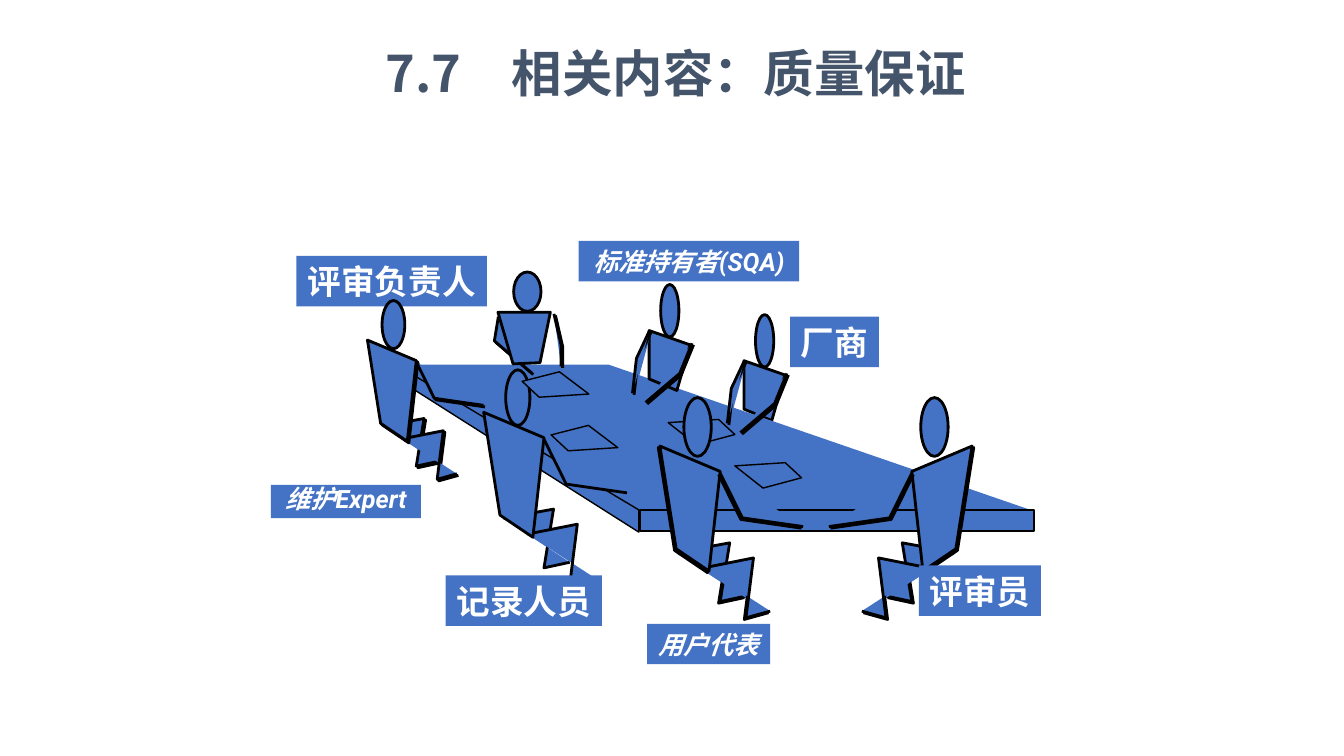
"""Build the slide on quality assurance: a review meeting around a table."""
from lxml import etree
from pptx import Presentation
from pptx.dml.color import RGBColor
from pptx.enum import shapes, text
from pptx.oxml import ns
from pptx.util import Cm, Pt

TITLE = "7.7　相关内容：质量保证"
BLUE, BLACK, WHITE, SLATE = "4472C4", "000000", "FFFFFF", "44546A"
LATIN, CHINESE = "Roboto", "Noto Sans CJK SC"
ECHO, HEAD_GROWTH = 0.04, 0.08

POSES = {
    "seated": {
        "near leg": [(0.5, 2.67), (1.76, 2.44), (1.52, 3.92), (2.17, 3.78)],
        "far leg": [(1.1, 3.07), (2.36, 2.82), (2.17, 4.33), (2.78, 4.16)],
        "torso": [(0.41, 2.59), (0, 0), (1.52, 0.64), (1.24, 3.15)],
        "head": (0.61, 1.4),
        "arm": [(1.52, 0.68), (2.08, 1.81), (3.61, 2.03)],
    },
    "behind": {
        "torso": [(0, 1.22), (0, 0), (1.03, 0.36), (0.7, 1.51)],
        "head": (0.38, 1.24),
        "right arm": [(1.12, 0.36), (0.81, 1.12), (-0.05, 1.85)],
        "left arm": [(0.05, 0.04), (-0.28, 0.74), (-0.38, 1.62)],
    },
    "end": {
        "left arm": [(0.05, 0.15), (-0.05, 0.76), (0.89, 1.57)],
        "right arm": [(1.45, 0.08), (1.63, 0.86), (1.63, 1.4)],
        "head": (0.61, 0.91),
        "torso": [(0, 0), (1.32, 0), (1.06, 1.27), (0.38, 1.3)],
    },
}

# pose, origin, head centre, scale, facing, echo direction (0 = drawn once)
PEOPLE = {
    "recorder": ("seated", (12.19, 10.39), (0.86, -0.37), 1, 1, 0),
    "reviewer": ("seated", (24.54, 11.28), (0.99, -0.52), 1, -1, -1),
    "user": ("seated", (16.59, 11.28), (0.99, -0.52), 1, 1, 1),
    "leader": ("seated", (9.3, 8.61), (0.76, -0.53), 0.81, 1, -1),
    "vendor": ("behind", (18.75, 9.09), (0.52, -0.5), 1, 1, -1),
    "standards": ("behind", (16.36, 8.33), (0.52, -0.5), 1, 1, -1),
    "chair": ("end", (12.55, 7.87), (0.74, -0.52), 1, 1, -1),
}

TABLE_TOP = [(9.98, 9.19), (15.34, 9.19), (26.06, 12.88), (16.08, 12.88)]
TABLE_FRONT = (16.13, 12.85, 9.93, 0.53)
TABLE_SIDE = [(16.1, 12.85), (9.98, 9.19), (9.98, 9.53), (16.1, 13.41)]

LEFT_PAPER = [(0.43, 0.64), (1.68, 0.56), (0.94, 0), (0, 0.24)]
RIGHT_PAPER = [(1.27, 0), (0, 0.08), (0.71, 0.64), (1.68, 0.38)]
PAPERS = [
    (LEFT_PAPER, (13.89, 10.72)), (RIGHT_PAPER, (18.52, 11.66)),
    (RIGHT_PAPER, (16.84, 10.57)), (LEFT_PAPER, (13.16, 9.37)),
]

MAIN_LABELS = [
    ("评审负责人", 7.47, 6.45, 4.8, 1.27), ("厂商", 19.91, 7.98, 2.24, 1.27),
    ("记录人员", 11.23, 14.5, 3.94, 1.27), ("评审员", 23.16, 14.25, 3.07, 1.27),
]
SIDE_LABELS = [
    ("标准持有者(SQA)", 14.58, 6.07, 5.56, 1.02),
    ("维护Expert", 6.83, 12.22, 3.78, 0.84),
]
USER_LABEL = ("用户代表", 16.31, 15.72, 3.1, 1.02)


def color(value):
    return RGBColor.from_string(value)


def paint(shape, width=0):
    shape.shadow.inherit = False
    shape.fill.solid()
    shape.fill.fore_color.rgb = color(BLUE)
    if width:
        shape.line.color.rgb = color(BLACK)
        shape.line.width = Pt(width)
    else:
        shape.line.fill.background()


def add_preset(page, kind, left, top, wide, high, width=0):
    shape = page.shapes.add_shape(kind, Cm(left), Cm(top), Cm(wide), Cm(high))
    paint(shape, width)
    return shape


def add_outline(page, points, width=0, close=True):
    corners = [(Cm(x), Cm(y)) for x, y in points]
    builder = page.shapes.build_freeform(*corners[0])
    builder.add_line_segments(corners[1:], close=close)
    paint(builder.convert_to_shape(), width)


def add_person(page, name, only=None, skip=None):
    pose, (left, top), (head_x, head_y), scale, facing, echo = PEOPLE[name]

    def place(x, y):
        return left + facing * scale * x, top + scale * y

    for part, form in POSES[pose].items():
        if part == skip or only not in (None, part):
            continue
        single = echo == 0 or (part == "torso" and pose != "seated")
        for step in range(1 if single else 2):
            if part == "head":
                wide, high = (scale * side + step * HEAD_GROWTH for side in form)
                x, y = place(head_x, head_y)
                add_preset(page, shapes.MSO_SHAPE.OVAL, x - wide / 2, y - high / 2, wide, high, 2)
            else:
                points = [place(*point) for point in form]
                shifted = [(x + step * echo * ECHO, y - step * ECHO) for x, y in points]
                add_outline(page, shifted, 2, close=part == "torso")


def write(para, words, size, latin, shade, italic=False):
    span = para.add_run()
    span.text = words
    para.alignment = text.PP_ALIGN.CENTER
    font = para.font
    font.name, font.size = latin, Pt(size)
    font.bold, font.italic = True, italic
    font.color.rgb = color(shade)
    east = etree.SubElement(span._r.get_or_add_rPr(), ns.qn("a:ea"))
    east.set("typeface", CHINESE)


def add_label(page, label, size, italic=False):
    words, *place = label
    box = add_preset(page, shapes.MSO_SHAPE.RECTANGLE, *place)
    box.text_frame.word_wrap = False
    para = box.text_frame.paragraphs[0]
    write(para, words, size, LATIN, WHITE, italic)
    if place[-1] < 1:
        para.line_spacing = 0.75


def main():
    deck = Presentation()
    deck.slide_width, deck.slide_height = Cm(33.87), Cm(19.05)
    page = deck.slides.add_slide(deck.slide_layouts[5])

    title = page.shapes.title
    title.left, title.top, title.width, title.height = Cm(4.72), Cm(0.94), Cm(24.61), Cm(1.78)
    title.text_frame.vertical_anchor = text.MSO_ANCHOR.MIDDLE
    write(title.text_frame.paragraphs[0], TITLE, 36, CHINESE, SLATE)

    add_person(page, "vendor", only="torso")
    add_outline(page, TABLE_TOP)
    add_preset(page, shapes.MSO_SHAPE.RECTANGLE, *TABLE_FRONT, width=1)
    add_outline(page, TABLE_SIDE, 1)

    add_person(page, "recorder")
    add_person(page, "reviewer")
    add_person(page, "chair", skip="torso")
    add_person(page, "vendor", skip="torso")
    for label in MAIN_LABELS:
        add_label(page, label, 24)
    for paper, (left, top) in PAPERS:
        add_outline(page, [(left + x, top + y) for x, y in paper], 1)
    add_person(page, "chair", only="torso")
    add_person(page, "standards")
    add_person(page, "leader")
    for label in SIDE_LABELS:
        add_label(page, label, 18, italic=True)
    add_person(page, "user")
    add_label(page, USER_LABEL, 18, italic=True)
    deck.save("out.pptx")


if __name__ == "__main__":
    main()
